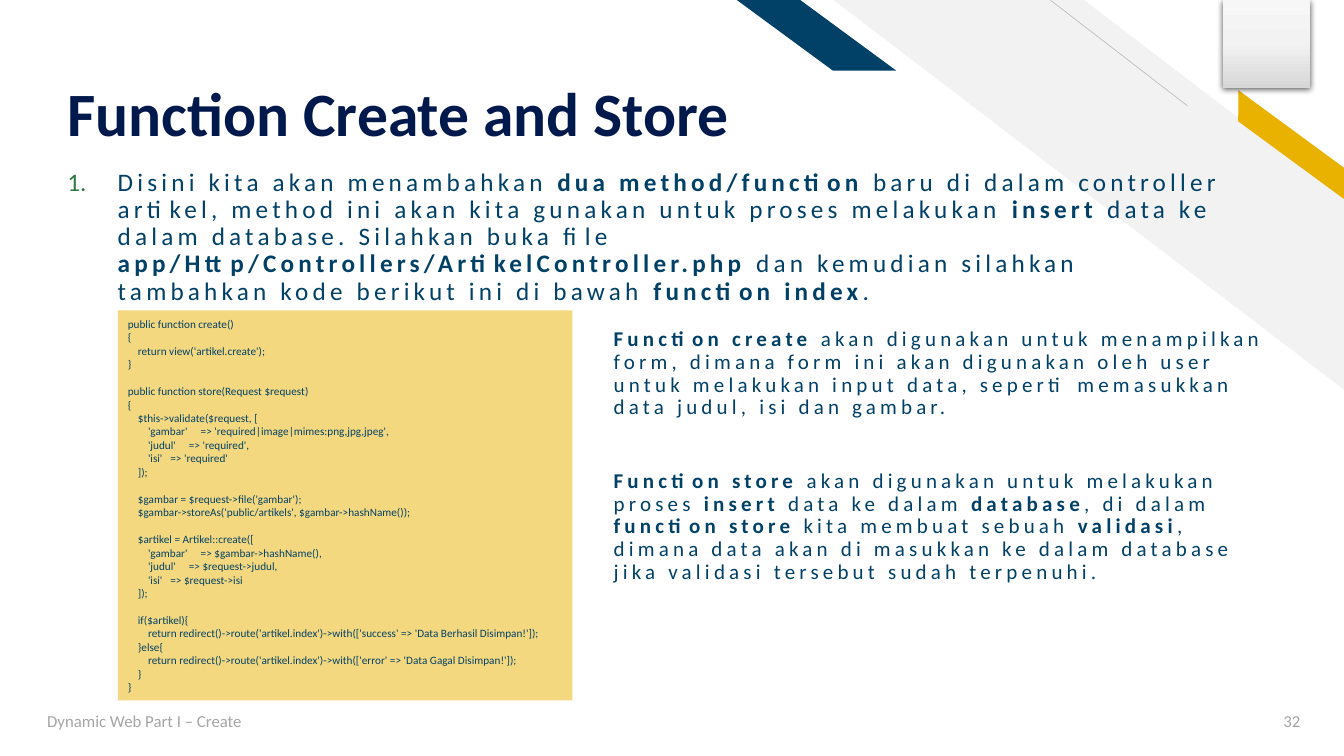
from copy import deepcopy
from dataclasses import dataclass

from lxml.etree import SubElement
from pptx import Presentation
from pptx.dml.color import RGBColor
from pptx.enum.shapes import MSO_CONNECTOR, MSO_SHAPE
from pptx.enum.text import MSO_ANCHOR, PP_ALIGN
from pptx.oxml.ns import qn
from pptx.util import Pt


@dataclass(frozen=True)
class Theme:
    font: str = "Calibri"
    navy: str = "00194C"
    blue: str = "014067"
    gold: str = "EAB200"
    pale: str = "F2F2F2"
    rule: str = "BFBFBF"
    muted: str = "A5A5A5"
    number: str = "2E7A40"
    badge: tuple = ((0, "F7F7F7"), (0.5, "F2F2F2"), (1, "D7D7D7"))
    title_size: float = 44
    body_size: float = 18
    note_size: float = 15
    footer_size: float = 12
    code_size: float = 8
    code_line: float = 9.77
    code_indent: float = 7.23
    tracking: float = 3


INTRO = (
    "Disini kita akan menambahkan **dua method/function **baru di dalam controller "
    "artikel, method ini akan kita gunakan untuk proses melakukan **insert **data ke "
    "dalam database. Silahkan buka file **app/Http/Controllers/ArtikelController.php** "
    "dan kemudian silahkan tambahkan kode berikut ini di bawah **function index**."
)
NOTES = (
    "**Function create **akan digunakan untuk menampilkan form, dimana form ini akan "
    "digunakan oleh user untuk melakukan input data, seperti memasukkan data judul, "
    "isi dan gambar.",
    "**Function store **akan digunakan untuk melakukan proses **insert** data ke dalam "
    "**database**, di dalam **function store **kita membuat sebuah **validasi**, dimana "
    "data akan di masukkan ke dalam database jika validasi tersebut sudah terpenuhi.",
)
CODE = """public function create()
{
\treturn view('artikel.create');
}

public function store(Request $request)
{
\t$this->validate($request, [
\t\t'gambar'\t=> 'required|image|mimes:png,jpg,jpeg',
\t\t'judul'\t=> 'required',
\t\t'isi'\t=> 'required'
\t]);

\t$gambar = $request->file('gambar');
\t$gambar->storeAs('public/artikels', $gambar->hashName());

\t$artikel = Artikel::create([
\t\t'gambar'\t=> $gambar->hashName(),
\t\t'judul'\t=> $request->judul,
\t\t'isi'\t=> $request->isi
\t]);

\tif($artikel){
\t\treturn redirect()->route('artikel.index')->with(['success' => 'Data Berhasil Disimpan!']);
\t}else{
\t\treturn redirect()->route('artikel.index')->with(['error' => 'Data Gagal Disimpan!']);
\t}
}"""
ARROW_STOPS = {"'gambar'": 52.1, "'judul'": 43.6, "'isi'": 30.4}


class SlideBuilder:
    def __init__(self, page, theme):
        self.page = page
        self.theme = theme

    def shape(self, kind, frame, color=None, flip=False, adjust=None, rotation=0):
        shape = self.page.shapes.add_shape(kind, *map(Pt, frame))
        shape.shadow.inherit = False
        shape.line.fill.background()
        shape.rotation = rotation
        if color:
            shape.fill.solid()
            shape.fill.fore_color.rgb = RGBColor.from_string(color)
        if adjust is not None:
            shape.adjustments[0] = adjust
        if flip:
            shape._element.spPr.get_or_add_xfrm().set("flipH", "1")
        return shape

    def line(self, start, end, color, width):
        line = self.page.shapes.add_connector(
            MSO_CONNECTOR.STRAIGHT, *map(Pt, (*start, *end)))
        line.line.color.rgb = RGBColor.from_string(color)
        line.line.width = Pt(width)
        SubElement(line._element.spPr, qn("a:effectLst"))

    def badge(self, frame):
        """Add a square with a three-stop vertical gradient and a soft drop shadow."""
        badge = self.shape(MSO_SHAPE.RECTANGLE, frame)
        badge.fill.gradient()
        badge.fill.gradient_angle = 270
        properties = badge._element.spPr
        stops = properties.find(".//" + qn("a:gsLst"))
        stops.append(deepcopy(stops[0]))
        for stop, (position, color) in zip(badge.fill.gradient_stops, self.theme.badge):
            stop.position = position
            stop.color.rgb = RGBColor.from_string(color)
        shadow = SubElement(
            properties.find(qn("a:effectLst")), qn("a:outerShdw"),
            blurRad=str(Pt(4.5)), dist=str(Pt(1.5)), dir="5400000",
            algn="t", rotWithShape="0")
        shade = SubElement(shadow, qn("a:srgbClr"), val="000000")
        SubElement(shade, qn("a:alpha"), val="63000")

    def box(self, frame, anchor=MSO_ANCHOR.TOP):
        text_frame = self.page.shapes.add_textbox(*map(Pt, frame)).text_frame
        text_frame.word_wrap = True
        text_frame.vertical_anchor = anchor
        return text_frame

    def style(self, para, size, color, bold=None):
        para.font.name = self.theme.font
        para.font.size = Pt(size)
        para.font.bold = bold
        para.font.color.rgb = RGBColor.from_string(color)

    def label(self, frame, text, size, color, anchor=MSO_ANCHOR.MIDDLE,
              align=PP_ALIGN.LEFT, bold=None):
        text_frame = self.box(frame, anchor)
        para = text_frame.paragraphs[0]
        para.text = text
        para.alignment = align
        self.style(para, size, color, bold)
        return text_frame

    def prose(self, frame, texts, size, gap=10, numbered=False):
        """Add tracked paragraphs; ** in a text switches bold on and off."""
        text_frame = self.box(frame)
        for index, text in enumerate(texts):
            para = text_frame.add_paragraph() if index else text_frame.paragraphs[0]
            para.line_spacing = 0.9
            para.space_before = Pt(gap if index else 10)
            if numbered:
                properties = para._p.get_or_add_pPr()
                properties.set("marL", str(Pt(36)))
                properties.set("indent", str(Pt(-36)))
                bullet_color = SubElement(properties, qn("a:buClr"))
                SubElement(bullet_color, qn("a:srgbClr"), val=self.theme.number)
                SubElement(properties, qn("a:buAutoNum"), type="arabicPeriod")
            self.style(para, size, self.theme.blue)
            for part, words in enumerate(text.split("**")):
                if words:
                    span = para.add_run()
                    span.text = words
                    span.font.bold = part % 2 == 1
                    span._r.get_or_add_rPr().set("spc", str(int(self.theme.tracking * 100)))

    def code(self, frame, source):
        """Add a translucent code panel; empty lines become space before the next line."""
        theme = self.theme
        panel = self.shape(MSO_SHAPE.RECTANGLE, frame, theme.gold)
        fill_color = panel._element.spPr.find(qn("a:solidFill"))[0]
        SubElement(fill_color, qn("a:alpha"), val="50000")
        text_frame = panel.text_frame
        text_frame.word_wrap = True
        text_frame.vertical_anchor = MSO_ANCHOR.MIDDLE
        for block_index, block in enumerate(source.split("\n\n")):
            for line_index, line in enumerate(block.split("\n")):
                first = block_index == line_index == 0
                para = text_frame.paragraphs[0] if first else text_frame.add_paragraph()
                para.text = line
                para.alignment = PP_ALIGN.LEFT
                if block_index and not line_index:
                    para.space_before = Pt(theme.code_line)
                stops = [theme.code_indent, 2 * theme.code_indent]
                key = line.strip().split("\t")[0]
                if key in ARROW_STOPS:
                    stops.append(ARROW_STOPS[key])
                tabs = SubElement(para._p.get_or_add_pPr(), qn("a:tabLst"))
                for stop in stops:
                    SubElement(tabs, qn("a:tab"), pos=str(Pt(stop)), algn="l")
                self.style(para, theme.code_size, theme.blue)


def main():
    deck = Presentation()
    deck.slide_width, deck.slide_height = Pt(960), Pt(540)
    theme = Theme()
    slide = SlideBuilder(deck.slides.add_slide(deck.slide_layouts[6]), theme)

    slide.shape(MSO_SHAPE.DIAGONAL_STRIPE, (595.4, 0, 365, 278.6), theme.pale,
                flip=True, adjust=0.51)
    slide.line((848.2, 75.6), (750.2, 0), theme.rule, 0.5)
    slide.shape(MSO_SHAPE.PARALLELOGRAM, (869, 94.3, 106.6, 18), theme.gold,
                flip=True, adjust=0.72, rotation=36.3)
    slide.shape(MSO_SHAPE.PARALLELOGRAM, (526.3, 0, 113.8, 50.4), theme.blue,
                flip=True, adjust=1.36)

    title = slide.label((41, 16.6, 656, 90.7), "Function Create and Store",
                        theme.title_size, theme.navy, MSO_ANCHOR.BOTTOM, bold=True)
    title.margin_bottom = 0
    title.paragraphs[0].line_spacing = 0.9
    slide.label((26.6, 500.4, 324, 28.8), "Dynamic Web Part I – Create",
                theme.footer_size, theme.muted)
    slide.label((877.7, 500.4, 58.3, 28.8), "32", theme.footer_size, theme.muted,
                align=PP_ALIGN.RIGHT)
    slide.badge((873.4, 0, 62.6, 62.6))

    slide.prose((41, 117.4, 846, 113.8), [INTRO], theme.body_size, numbered=True)
    slide.code((84.2, 221.8, 324.7, 278.6), CODE)
    slide.prose((431.3, 231.1, 484.6, 269.3), NOTES, theme.note_size, gap=36.5)
    deck.save("out.pptx")


if __name__ == "__main__":
    main()
